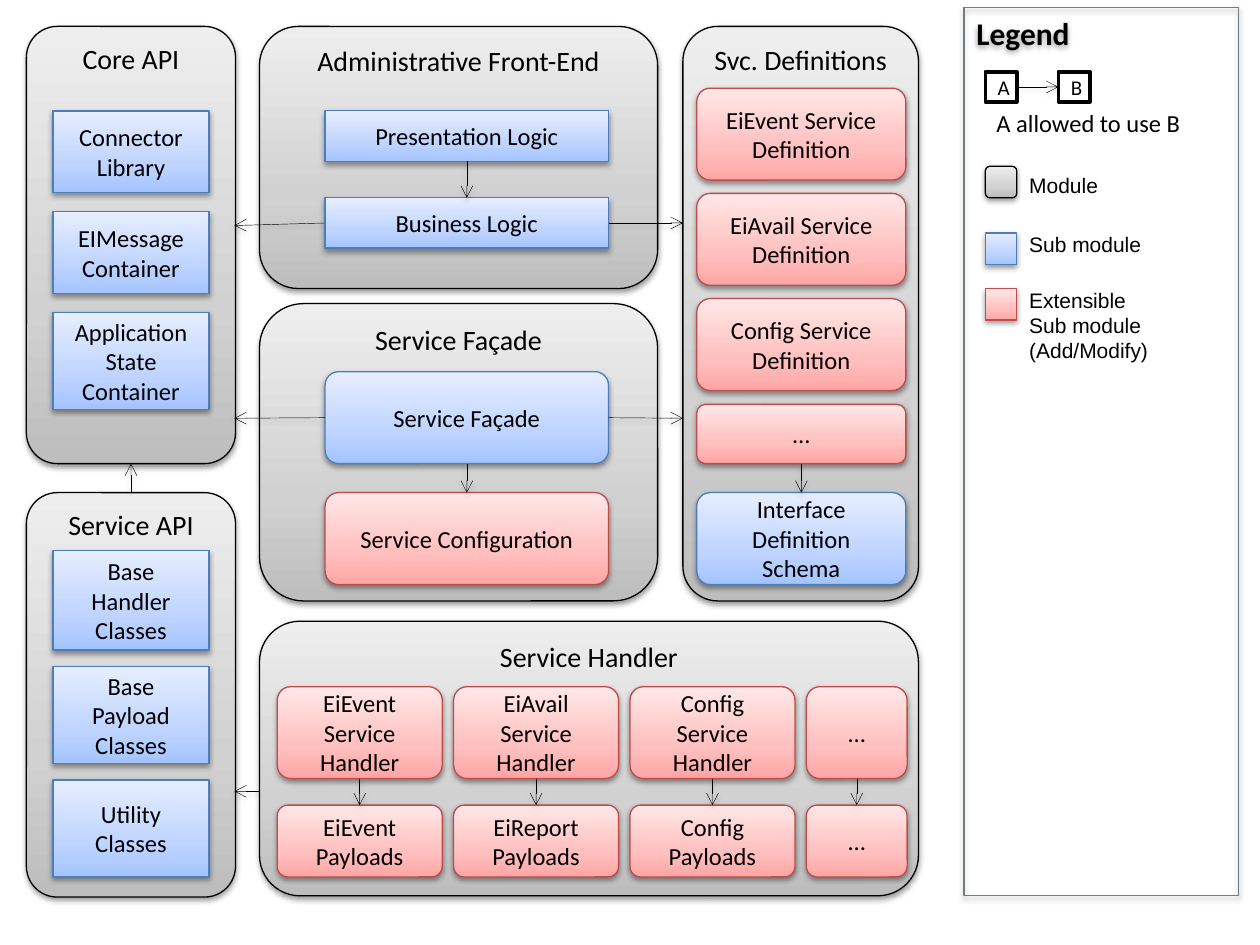
from dataclasses import dataclass

from lxml import etree
from pptx import Presentation
from pptx import util as u
from pptx.dml.color import RGBColor
from pptx.enum import shapes, text
from pptx.oxml.ns import qn

RECT = shapes.MSO_SHAPE.RECTANGLE
ROUND = shapes.MSO_SHAPE.ROUNDED_RECTANGLE
TOP, LEFT, BOTTOM, RIGHT = range(4)
CENTER, START = text.PP_ALIGN.CENTER, text.PP_ALIGN.LEFT
BLACK = "000000"


@dataclass
class Look:
    line: str
    stops: tuple = ()  # gradient colours from bottom to top
    weight: float = 0.75
    fill: str = ""
    shadow: bool = True


@dataclass
class Box:
    x: float
    y: float
    w: float
    h: float
    label: str
    look: Look
    kind: int = ROUND


MODULE = Look(BLACK, ("BDBDBD", "D1D1D1", "EEEEEE"))
SUB = Look("4B7EBC", ("A4C4FF", "BFD4FF", "E6EEFF"))
EXTENSIBLE = Look("BF4C48", ("FFA6A5", "FFC0BF", "FFE7E7"))
PANEL = Look("727D82")
SAMPLE = Look(BLACK, weight=2, fill="FFFFFF", shadow=False)


def rgb(value: str) -> RGBColor:
    return RGBColor.from_string(value)


def add_child(parent, tag: str, **attrs):
    return etree.SubElement(parent, qn(tag), {k: str(v) for k, v in attrs.items()})


def add_shadow(effects, alpha: int, dist: int) -> None:
    shadow = add_child(effects, "a:outerShdw", blurRad=40000, dist=dist,
                       dir=5400000, rotWithShape=0)
    color = add_child(shadow, "a:srgbClr", val=BLACK)
    add_child(color, "a:alpha", val=alpha * 1000)


def paint(sp, look: Look) -> None:
    if look.stops:
        sp.fill.gradient()
        sp.fill.gradient_angle = 90
        stops = sp._element.spPr.find(".//" + qn("a:gsLst"))
        for stop in list(stops):
            stops.remove(stop)
        for pos, color in zip((0, 35000, 100000), look.stops):
            add_child(add_child(stops, "a:gs", pos=pos), "a:srgbClr", val=color)
    elif look.fill:
        sp.fill.solid()
        sp.fill.fore_color.rgb = rgb(look.fill)
    else:
        sp.fill.background()
    sp.line.color.rgb = rgb(look.line)
    sp.line.width = u.Pt(look.weight)
    sp.shadow.inherit = False
    if look.shadow:
        add_shadow(sp._element.spPr.find(qn("a:effectLst")), 38, 20000)


def write(tf, label: str, size: float, align, font="Calibri", bold=False) -> None:
    for i, line in enumerate(label.split("\n")):
        p = tf.paragraphs[0] if i == 0 else tf.add_paragraph()
        p.alignment = align
        r = p.add_run()
        r.text = line
        r.font.name, r.font.size, r.font.bold = font, u.Pt(size), bold
        r.font.color.rgb = rgb(BLACK)


def add_box(slide, box: Box, size=14, align=CENTER,
            anchor=text.MSO_ANCHOR.MIDDLE, bold=False):
    sp = slide.shapes.add_shape(box.kind, *map(u.Inches, (box.x, box.y, box.w, box.h)))
    if box.kind == ROUND:
        sp.adjustments[0] = 0.148
    paint(sp, box.look)
    sp.text_frame.word_wrap = True
    sp.text_frame.vertical_anchor = anchor
    if box.label:
        write(sp.text_frame, box.label, size, align, bold=bold)
    return sp


def add_module(slide, x: float, y: float, w: float, h: float, label: str):
    return add_box(slide, Box(x, y, w, h, label, MODULE), 16,
                   anchor=text.MSO_ANCHOR.TOP)


def add_label(slide, x: float, y: float, w: float, h: float, label: str,
              size=12, font="Arial") -> None:
    tf = slide.shapes.add_textbox(*map(u.Inches, (x, y, w, h))).text_frame
    tf.word_wrap = False
    tf.auto_size = text.MSO_AUTO_SIZE.SHAPE_TO_FIT_TEXT
    write(tf, label, size, START, font)


def add_arrow(slide, source, source_side: int, target, target_side=None,
              kind=shapes.MSO_CONNECTOR.STRAIGHT) -> None:
    """Join source to a shape's side, or to an (x, y) point if no side is given."""
    end = (0, 0) if target_side is not None else target
    line = slide.shapes.add_connector(kind, 0, 0, *map(u.Inches, end))
    line.begin_connect(source, source_side)
    if target_side is not None:
        line.end_connect(target, target_side)
    style_arrow(line)


def style_arrow(line) -> None:
    line.line.color.rgb = rgb(BLACK)
    line.line.width = u.Pt(0.25)
    add_child(line.line._get_or_add_ln(), "a:tailEnd", type="arrow")
    add_shadow(add_child(line._element.spPr, "a:effectLst"), 35, 23000)


def draw_apis(slide):
    core = add_module(slide, 0.21, 0.21, 1.66, 3.47, "Core API")
    api = add_module(slide, 0.21, 3.91, 1.66, 3.21, "Service API")
    for y, h, label in (
        (0.88, 0.65, "Connector\nLibrary"),
        (1.68, 0.65, "EIMessage\nContainer"),
        (2.48, 0.77, "Application State Container"),
        (4.37, 0.79, "Base Handler Classes"),
        (5.29, 0.77, "Base\nPayload\nClasses"),
        (6.19, 0.77, "Utility\nClasses"),
    ):
        add_box(slide, Box(0.42, y, 1.24, h, label, SUB, RECT))
    add_arrow(slide, api, TOP, core, BOTTOM)


def draw_definitions(slide) -> None:
    add_module(slide, 5.42, 0.21, 1.87, 4.56, "Svc. Definitions")
    for i, name in enumerate(("EiEvent", "EiAvail", "Config")):
        add_box(slide, Box(5.53, 0.7 + i * 0.835, 1.66, 0.73,
                           f"{name} Service\nDefinition", EXTENSIBLE))
    more = add_box(slide, Box(5.53, 3.21, 1.66, 0.47, "…", EXTENSIBLE))
    schema = add_box(slide, Box(5.53, 3.91, 1.66, 0.73,
                                "Interface Definition Schema", SUB))
    add_arrow(slide, more, BOTTOM, schema, TOP)


def draw_middle(slide) -> None:
    add_module(slide, 2.06, 0.21, 3.16, 2.08, "Administrative Front-End")
    add_module(slide, 2.06, 2.41, 3.16, 2.36, "Service Façade")
    presentation, business, facade, config = (
        add_box(slide, Box(2.58, y, 2.25, h, label, look, kind))
        for y, h, label, look, kind in (
            (0.88, 0.4, "Presentation Logic", SUB, RECT),
            (1.57, 0.4, "Business Logic", SUB, RECT),
            (2.95, 0.73, "Service Façade", SUB, ROUND),
            (3.91, 0.73, "Service Configuration", EXTENSIBLE, ROUND),
        ))
    add_arrow(slide, presentation, BOTTOM, business, TOP)
    add_arrow(slide, facade, BOTTOM, config, TOP)
    for sp, left_y, right_y in ((business, 1.79, 1.77), (facade, 3.32, 3.32)):
        add_arrow(slide, sp, LEFT, (1.86, left_y))
        add_arrow(slide, sp, RIGHT, (5.42, right_y))


def draw_handlers(slide) -> None:
    add_module(slide, 2.06, 4.93, 5.23, 2.18, "Service Handler")
    for i, (w, handler, payload) in enumerate((
        (1.31, "EiEvent Service\nHandler", "EiEvent\nPayloads"),
        (1.31, "EiAvail Service\nHandler", "EiReport\nPayloads"),
        (1.31, "Config Service\nHandler", "Config\nPayloads"),
        (0.8, "…", "…"),
    )):
        x = 2.2 + i * 1.4
        upper = add_box(slide, Box(x, 5.45, w, 0.73, handler, EXTENSIBLE))
        lower = add_box(slide, Box(x, 6.39, w, 0.57, payload, EXTENSIBLE))
        add_arrow(slide, upper, BOTTOM, lower, TOP)
    style_arrow(slide.shapes.add_connector(
        shapes.MSO_CONNECTOR.STRAIGHT, *map(u.Inches, (2.06, 6.28, 1.86, 6.28))))


def draw_legend(slide) -> None:
    add_box(slide, Box(7.65, 0.06, 2.18, 7.05, "Legend", PANEL, RECT), 18, START,
            text.MSO_ANCHOR.TOP, bold=True)
    a, b = (add_box(slide, Box(x, 0.57, 0.25, 0.24, name, SAMPLE, RECT), 12, START)
            for x, name in ((7.82, "A"), (8.4, "B")))
    add_arrow(slide, a, RIGHT, b, LEFT, shapes.MSO_CONNECTOR.ELBOW)
    add_label(slide, 7.81, 0.81, 1.68, 0.34, "A allowed to use B", 14, "Calibri")
    for y, look, kind, label_y, w, h, label in (
        (1.32, MODULE, ROUND, 1.32, 0.75, 0.3, "Module"),
        (1.85, SUB, RECT, 1.79, 1.1, 0.3, "Sub module"),
        (2.29, EXTENSIBLE, RECT, 2.23, 1.16, 0.71,
         "Extensible\nSub module\n(Add/Modify)"),
    ):
        add_box(slide, Box(7.82, y, 0.25, 0.25, "", look, kind))
        add_label(slide, 8.07, label_y, w, h, label)


def main() -> None:
    prs = Presentation()
    prs.slide_width, prs.slide_height = u.Inches(10), u.Inches(7.5)
    slide = prs.slides.add_slide(prs.slide_layouts[6])
    for draw in (draw_apis, draw_definitions, draw_middle, draw_handlers, draw_legend):
        draw(slide)
    prs.save("out.pptx")


if __name__ == "__main__":
    main()
